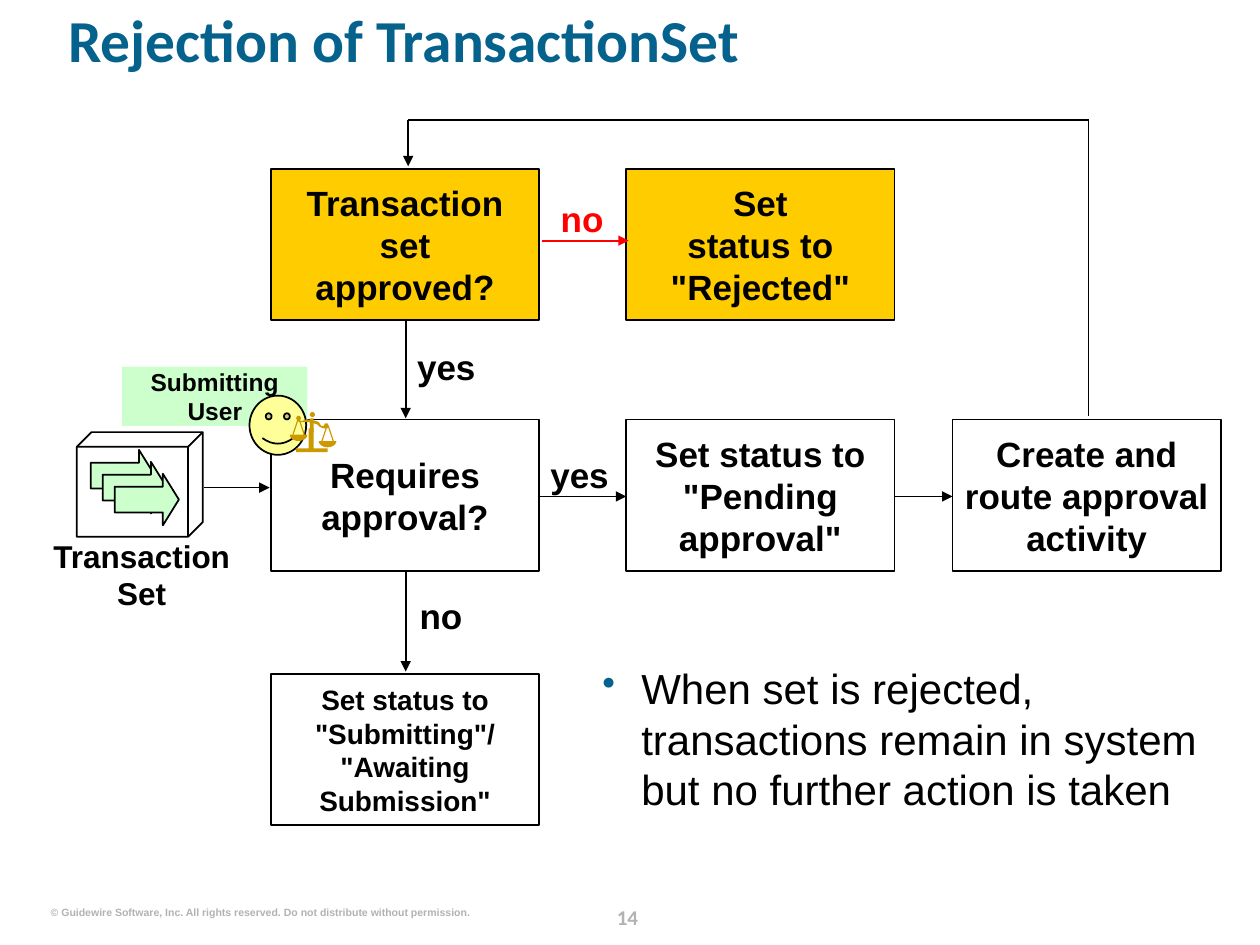
import math
import pptx
import pptx.util
import pptx.dml.color
import pptx.enum.shapes
import pptx.enum.text
import pptx.oxml.ns
from lxml import etree

Inches = pptx.util.Inches
RGBColor = pptx.dml.color.RGBColor
SHAPE = pptx.enum.shapes.MSO_SHAPE
ALIGN = pptx.enum.text.PP_ALIGN
ANCHOR = pptx.enum.text.MSO_ANCHOR

BLACK = RGBColor(0x00, 0x00, 0x00)
RED = RGBColor(0xFF, 0x00, 0x00)
TEAL = RGBColor(0x04, 0x62, 0x8C)
GRAY = RGBColor(0xB2, 0xB2, 0xB2)
AMBER = RGBColor(0xFF, 0xCC, 0x00)
MINT = RGBColor(0xCC, 0xFF, 0xCC)
LEMON = RGBColor(0xFF, 0xFF, 0x99)
BRASS = RGBColor(0xCC, 0x99, 0x00)

COLUMNS = (2.15, 4.97, 7.56)
ROWS = (1.34, 3.33, 5.35)
STEP_WIDTH, STEP_HEIGHT = 2.13, 1.2

STEPS = (
    (0, 0, "Transaction set approved?", 20, AMBER, 0.15),
    (1, 0, "Set\vstatus to \"Rejected\"", 20, AMBER, 0.15),
    (0, 1, "Requires approval?", 20, None, 0.15),
    (1, 1, "Set status to \"Pending approval\"", 20, None, 0.15),
    (2, 1, "Create and route approval activity", 20, None, 0.04),
    (0, 2, "Set status to \"Submitting\"/\v\"Awaiting Submission\"", 16, None, 0.12),
)
FLOWS = (
    ((3.22, 2.53), (3.22, 3.32), BLACK, True),
    ((3.22, 4.54), (3.22, 5.33), BLACK, True),
    ((4.3, 1.91), (4.99, 1.91), RED, True),
    ((1.62, 3.87), (2.14, 3.87), BLACK, True),
    ((4.27, 3.94), (4.97, 3.94), BLACK, True),
    ((7.1, 3.94), (7.56, 3.94), BLACK, True),
    ((8.64, 3.3), (8.64, 0.95), BLACK, False),
    ((8.64, 0.95), (3.24, 0.95), BLACK, False),
    ((3.24, 0.95), (3.24, 1.32), BLACK, True),
)
ANSWERS = (
    ("yes", (3.31, 2.74, 0.61, 0.33), BLACK, ALIGN.LEFT),
    ("no", (3.33, 4.72, 0.41, 0.33), BLACK, ALIGN.LEFT),
    ("no", (4.29, 1.57, 0.66, 0.33), RED, ALIGN.CENTER),
    ("yes", (4.27, 3.6, 0.66, 0.33), BLACK, ALIGN.CENTER),
)
BEAM = (
    (2.61, 3.38), (2.6, 3.36), (2.58, 3.36), (2.57, 3.38), (2.55, 3.38),
    (2.53, 3.35), (2.5, 3.34), (2.46, 3.33), (2.43, 3.33), (2.4, 3.34),
    (2.38, 3.34), (2.39, 3.32), (2.38, 3.3), (2.36, 3.3), (2.35, 3.32),
    (2.36, 3.34), (2.38, 3.35), (2.41, 3.35), (2.45, 3.35), (2.49, 3.36),
    (2.52, 3.37), (2.54, 3.39), (2.57, 3.4), (2.6, 3.4),
)


def inches(lengths):
    return [Inches(length) for length in lengths]


def paint(shape, fill, line):
    shape.shadow.inherit = False
    if fill is None:
        shape.fill.background()
    else:
        shape.fill.solid()
        shape.fill.fore_color.rgb = fill
    if line is None:
        shape.line.fill.background()
    else:
        shape.line.color.rgb = line
        shape.line.width = pptx.util.Pt(1)


def write(shape, text, size, color=BLACK, align=ALIGN.CENTER, bold=True,
          font="Arial", anchor=ANCHOR.TOP, side=0, wrap=True):
    frame = shape.text_frame
    frame.text = text
    frame.word_wrap = wrap
    frame.vertical_anchor = anchor
    frame.margin_left = frame.margin_right = Inches(side)
    frame.margin_top = frame.margin_bottom = 0
    paragraph = frame.paragraphs[0]
    paragraph.alignment = align
    for run in paragraph.runs:
        run.font.name = font
        run.font.size = pptx.util.Pt(size)
        run.font.bold = bold
        run.font.color.rgb = color
    return paragraph


def add_figure(slide, kind, box, fill=None, line=BLACK, adjustment=None):
    figure = slide.shapes.add_shape(kind, *inches(box))
    paint(figure, fill, line)
    if adjustment is not None:
        figure.adjustments[len(figure.adjustments) - 1] = adjustment
    return figure


def add_label(slide, text, box, size, **style):
    label = slide.shapes.add_textbox(*inches(box))
    return write(label, text, size, **style)


def add_step(slide, column, row, text, size, fill, side):
    box = (COLUMNS[column], ROWS[row], STEP_WIDTH, STEP_HEIGHT)
    step = add_figure(slide, SHAPE.RECTANGLE, box, fill)
    write(step, text, size, anchor=ANCHOR.MIDDLE, side=side)


def add_flow(slide, start, end, color, arrow):
    flow = slide.shapes.add_connector(
        pptx.enum.shapes.MSO_CONNECTOR.STRAIGHT, *inches(start + end))
    flow.line.color.rgb = color
    flow.line.width = pptx.util.Pt(1)
    if arrow:
        etree.SubElement(flow.line._get_or_add_ln(),
                         pptx.oxml.ns.qn("a:tailEnd"), type="triangle")
    etree.SubElement(flow._element.spPr, pptx.oxml.ns.qn("a:effectLst"))


def add_outline(slide, points):
    corners = [inches(point) for point in points]
    builder = slide.shapes.build_freeform(*corners[0])
    builder.add_line_segments(corners[1:], close=True)
    paint(builder.convert_to_shape(), BRASS, None)


def add_pan(slide, center, top):
    rim = top + 0.12
    arc = [math.pi * step / 12 for step in range(13)]
    add_outline(slide, [(center + 0.07 * math.cos(angle),
                         rim + 0.05 * math.sin(angle)) for angle in arc])
    for side in (-1, 1):
        add_outline(slide, [(center + side * offset, height) for offset, height in
                            ((0.04, rim), (0, top), (0.01, top), (0.05, rim))])


def add_scales(slide):
    add_outline(slide, BEAM)
    add_pan(slide, 2.37, 3.33)
    add_pan(slide, 2.6, 3.38)
    for box in ((2.46, 3.32, 0.03, 0.11), (2.45, 3.4, 0.04, 0.18),
                (2.35, 3.56, 0.25, 0.03)):
        add_figure(slide, SHAPE.RECTANGLE, box, BRASS, None)
    add_figure(slide, SHAPE.OVAL, (2.46, 3.27, 0.04, 0.04), BRASS, None)


def add_transaction_set(slide):
    for layer in range(3):
        offset = 0.095 * layer
        add_figure(slide, SHAPE.RIGHT_ARROW,
                   (0.72 + offset, 3.57 + offset, 0.51, 0.41), MINT, adjustment=0.31)
    add_figure(slide, SHAPE.CUBE, (0.61, 3.43, 1, 0.83), adjustment=0.14)
    add_label(slide, "Transaction\vSet", (0.39, 4.26, 1.47, 0.6), 18)


def add_submitting_user(slide):
    badge = add_figure(slide, SHAPE.RECTANGLE, (0.97, 2.91, 1.47, 0.47), MINT, None)
    write(badge, "Submitting User", 14, side=0.15)
    add_figure(slide, SHAPE.SMILEY_FACE, (1.98, 3.14, 0.45, 0.47), LEMON)
    add_scales(slide)


def add_takeaway(slide, text):
    takeaway = add_label(slide, text, (4.78, 5.26, 4.92, 1.72), 24,
                         align=ALIGN.LEFT, bold=False)
    properties = takeaway._p.get_or_add_pPr()
    properties.set("marL", str(Inches(0.31)))
    properties.set("indent", str(-Inches(0.31)))
    bullet_color = etree.SubElement(properties, pptx.oxml.ns.qn("a:buClr"))
    etree.SubElement(bullet_color, pptx.oxml.ns.qn("a:srgbClr"), val=str(TEAL))
    etree.SubElement(properties, pptx.oxml.ns.qn("a:buSzPct"), val="90000")
    etree.SubElement(properties, pptx.oxml.ns.qn("a:buChar"), char="•")


def set_title(slide, text):
    title = slide.shapes.title
    title.left, title.top, title.width, title.height = inches((0.54, 0.13, 9.1, 0.81))
    heading = write(title, text, 34, TEAL, ALIGN.LEFT, font="Calibri")
    heading.line_spacing = 0.8


def main():
    deck = pptx.Presentation()
    deck.slide_width, deck.slide_height = inches((10, 7.5))
    slide = deck.slides.add_slide(deck.slide_layouts[5])
    set_title(slide, "Rejection of TransactionSet")
    add_label(slide, "© Guidewire Software, Inc. All rights reserved. "
              "Do not distribute without permission.", (0.4, 7.19, 3.33, 0.1), 6,
              color=GRAY, align=ALIGN.RIGHT, wrap=False)
    add_label(slide, "14", (4.73, 7.13, 0.5, 0.25), 12, color=GRAY,
              font="Calibri").line_spacing = pptx.util.Pt(18)
    for step in STEPS:
        add_step(slide, *step)
    for flow in FLOWS:
        add_flow(slide, *flow)
    for text, box, color, align in ANSWERS:
        add_label(slide, text, box, 20, color=color, align=align)
    add_transaction_set(slide)
    add_submitting_user(slide)
    add_takeaway(slide, "When set is rejected, transactions remain in system "
                 "but no further action is taken")
    deck.save("out.pptx")


if __name__ == "__main__":
    main()
